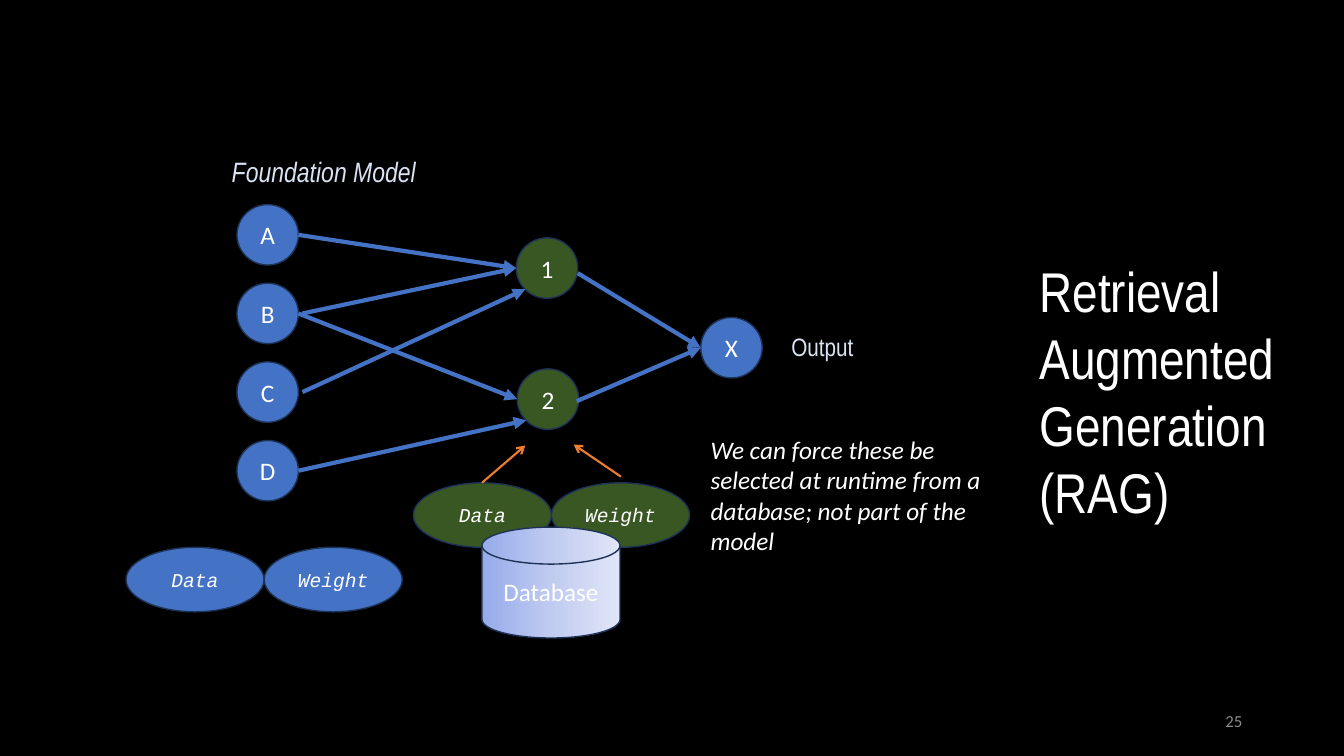
"""Builds the Retrieval Augmented Generation slide."""
from copy import deepcopy
from dataclasses import dataclass

from pptx import Presentation
from pptx import util as u
from pptx.dml.color import RGBColor
from pptx.enum import shapes, text
from pptx.oxml import ns, xmlchemy

PX = u.Inches(1) // 100
KIND = shapes.MSO_SHAPE
ALIGN = text.PP_ALIGN
ANCHOR = text.MSO_ANCHOR


@dataclass(frozen=True)
class Theme:
    """Colours, fonts and type sizes of the slide."""
    background: str = "000000"
    blue: str = "4472C4"
    green: str = "385723"
    orange: str = "ED7D31"
    outline: str = "1E3256"
    white: str = "FFFFFF"
    pale: str = "DAE3F3"
    grey: str = "8C8C8C"
    disk: tuple = ("96ABEA", "C0CBF0", "E0E5F7")
    plain: str = "Calibri"
    narrow: str = "Arial Narrow"
    mono: str = "Courier New"
    title: int = 40
    heading: int = 20
    body: int = 18
    code: int = 14
    small: int = 12


THEME = Theme()


def px(*lengths):
    """Turn px lengths into EMU."""
    return [u.Emu(length * PX) for length in lengths]


def colour(code):
    """Return the colour for a hex code."""
    return RGBColor.from_string(code)


def write(box, words, size=THEME.body, face=THEME.plain, ink=THEME.white,
          italic=False, align=ALIGN.LEFT, anchor=ANCHOR.TOP):
    """Put one formatted run into a box."""
    frame = box.text_frame
    frame.word_wrap = True
    frame.auto_size = text.MSO_AUTO_SIZE.NONE
    frame.vertical_anchor = anchor
    para = frame.paragraphs[0]
    para.alignment = align
    span = para.add_run()
    span.text = words
    span.font.size = u.Pt(size)
    span.font.name = face
    span.font.italic = italic
    span.font.color.rgb = colour(ink)


def add_label(page, area, words, **style):
    """Add a text box."""
    write(page.shapes.add_textbox(*px(*area)), words, **style)


def add_node(page, kind, area, words, fill, **style):
    """Add an outlined shape with centred text."""
    node = page.shapes.add_shape(kind, *px(*area))
    node.shadow.inherit = False
    node.fill.solid()
    node.fill.fore_color.rgb = colour(fill)
    node.line.color.rgb = colour(THEME.outline)
    node.line.width = u.Pt(1)
    write(node, words, align=ALIGN.CENTER, anchor=ANCHOR.MIDDLE, **style)
    return node


def add_neuron(page, left, top, words, fill):
    """Add a round network node."""
    add_node(page, KIND.OVAL, (left, top, 61, 60), words, fill)


def add_pair(page, left, top, fill):
    """Add the touching Data and Weight ellipses."""
    for step, words in enumerate(("Data", "Weight")):
        add_node(page, KIND.OVAL, (left + 137 * step, top, 137, 64), words, fill,
                 size=THEME.code, face=THEME.mono, italic=True)


def add_database(page, area):
    """Add the database cylinder with its three-stop gradient."""
    disk = add_node(page, KIND.FLOWCHART_MAGNETIC_DISK, area, "Database", THEME.blue)
    disk.fill.gradient()
    disk.fill.gradient_angle = 0
    stop_list = disk._element.spPr.find(ns.qn("a:gradFill")).find(ns.qn("a:gsLst"))
    stop_list.insert(1, deepcopy(stop_list[0]))
    for step, (stop, code) in enumerate(zip(disk.fill.gradient_stops, THEME.disk)):
        stop.color.rgb = colour(code)
        stop.position = step / 2


def add_arrow(page, start, end, ink=THEME.blue, width=3, head="triangle"):
    """Add a straight arrow."""
    arrow = page.shapes.add_connector(
        shapes.MSO_CONNECTOR.STRAIGHT, *px(*start, *end))
    arrow.line.color.rgb = colour(ink)
    arrow.line.width = u.Pt(width)
    tip = xmlchemy.OxmlElement("a:tailEnd")
    tip.set("type", head)
    arrow.line._get_or_add_ln().append(tip)
    arrow._element.spPr.append(xmlchemy.OxmlElement("a:effectLst"))


def add_title(page, area, words):
    """Move and fill the title placeholder."""
    title = page.shapes.title
    title.left, title.top, title.width, title.height = px(*area)
    write(title, words, size=THEME.title, face=THEME.narrow)


def add_network(page):
    """Draw the network nodes and the links between them."""
    for step, words in enumerate("ABCD"):
        add_neuron(page, 235, 203 + 78 * step, words, THEME.blue)
    add_neuron(page, 512, 236, "1", THEME.green)
    add_neuron(page, 513, 366, "2", THEME.green)
    add_neuron(page, 695, 315, "X", THEME.blue)
    links = (
        ((296, 233), (512, 266)),
        ((300, 311), (512, 266)),
        ((300, 389), (521, 287)),
        ((296, 467), (522, 417)),
        ((296, 311), (513, 396)),
        ((573, 271), (695, 345)),
        ((572, 398), (695, 345)),
    )
    for start, end in links:
        add_arrow(page, start, end)


def main():
    """Build and save the slide."""
    deck = Presentation()
    deck.slide_width, deck.slide_height = px(1333, 750)
    page = deck.slides.add_slide(deck.slide_layouts.get_by_name("Title Only"))
    page.background.fill.solid()
    page.background.fill.fore_color.rgb = colour(THEME.background)

    add_title(page, (1021, 249, 307, 279), "Retrieval Augmented Generation (RAG)")
    add_network(page)
    add_label(page, (220, 148, 222, 44), "Foundation Model", size=THEME.heading,
              face=THEME.narrow, ink=THEME.pale, italic=True)
    add_label(page, (775, 324, 181, 40), "Output", face=THEME.narrow, ink=THEME.pale)

    add_pair(page, 410, 479, THEME.green)
    add_pair(page, 125, 543, THEME.blue)
    add_database(page, (478, 523, 137, 110))
    for start, end in (((478, 479), (521, 442)), ((616, 473), (569, 441))):
        add_arrow(page, start, end, ink=THEME.orange, width=1.5, head="arrow")

    add_label(page, (695, 426, 307, 131),
              "We can force these be selected at runtime from a database; "
              "not part of the model", italic=True)
    add_label(page, (942, 695, 300, 40), "25", size=THEME.small, ink=THEME.grey,
              align=ALIGN.RIGHT, anchor=ANCHOR.MIDDLE)
    deck.save("out.pptx")


if __name__ == "__main__":
    main()
